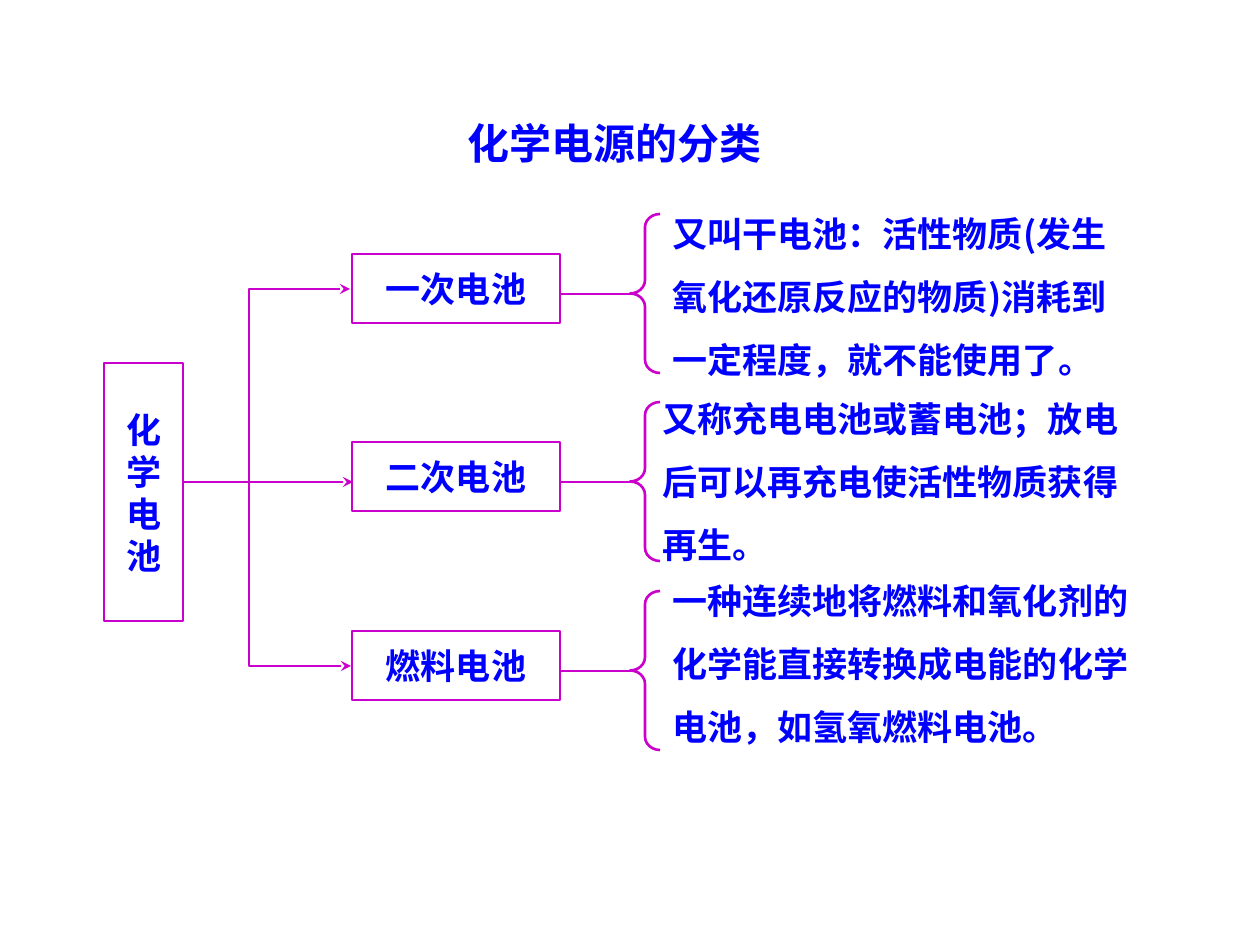
import pptx
import pptx.util
import pptx.dml.color
import pptx.enum.shapes
import pptx.enum.text
import pptx.oxml
import pptx.oxml.ns

COLORS = {"line": "CC00CC", "text": "0000FF"}
SCALE = 914400 / 126
SHAPE = pptx.enum.shapes.MSO_SHAPE
LINK = pptx.enum.shapes.MSO_CONNECTOR
ALIGN = pptx.enum.text.PP_ALIGN
ANCHOR = pptx.enum.text.MSO_ANCHOR
FIT = pptx.enum.text.MSO_AUTO_SIZE
QN = pptx.oxml.ns.qn


def emu(*sizes):
    return [pptx.util.Emu(round(size * SCALE)) for size in sizes]


def rgb(name):
    return pptx.dml.color.RGBColor.from_string(COLORS[name])


def apply(target, values):
    for name, value in values.items():
        setattr(target, name, value)


class Page:
    font = "Noto Sans CJK SC"
    stroke = pptx.util.Pt(1.5)

    def __init__(self, slide):
        self.slide = slide
        self.shapes = slide.shapes

    def label(self, frame, lines, size, font, form):
        for i, line in enumerate(lines):
            para = frame.paragraphs[0] if i == 0 else frame.add_paragraph()
            apply(para, form)
            run = para.add_run()
            run.text = line
            apply(run.font, {"name": font, "size": pptx.util.Pt(size), "bold": True})
            run.font.color.rgb = rgb("text")
            east = pptx.oxml.parse_xml(
                f'<a:ea {pptx.oxml.ns.nsdecls("a")} typeface="{self.font}"/>')
            run.font._element.find(QN("a:latin")).addnext(east)

    def pen(self, shape):
        shape.line.color.rgb = rgb("line")
        shape.line.width = self.stroke

    def text(self, x, y, w, h, lines, size=20, align=ALIGN.LEFT):
        frame = self.shapes.add_textbox(*emu(x, y, w, h)).text_frame
        apply(frame, {"word_wrap": True, "auto_size": FIT.SHAPE_TO_FIT_TEXT})
        self.label(frame, lines, size, self.font, {"alignment": align, "line_spacing": 1.5})

    def outline(self, kind, x, y, w, h):
        shape = self.shapes.add_shape(kind, *emu(x, y, w, h))
        shape.shadow.inherit = False
        shape.fill.background()
        self.pen(shape)
        return shape

    def box(self, x, y, w, h, lines):
        frame = self.outline(SHAPE.RECTANGLE, x, y, w, h).text_frame
        apply(frame, {"word_wrap": False, "vertical_anchor": ANCHOR.MIDDLE})
        self.label(frame, lines, 20, "Arial", {"alignment": ALIGN.CENTER})

    def brace(self, x, y, w, h):
        shape = self.outline(SHAPE.LEFT_BRACE, x, y, w, h)
        shape.adjustments[0] = 0.44

    def link(self, x1, y1, x2, y2, ends=(), kind=LINK.STRAIGHT):
        line = self.shapes.add_connector(kind, *emu(x1, y1, x2, y2))
        self.pen(line)
        for end in ends:
            mark = line.line._ln.makeelement(QN(f"a:{end}"), {"type": "stealth"})
            line.line._ln.append(mark)
        props = line._element.spPr
        props.append(props.makeelement(QN("a:effectLst"), {}))
        return line

    def fork(self, x, top, low, back):
        line = self.link(x, top, x + 1, low, ("headEnd", "tailEnd"), LINK.ELBOW)
        geom = line._element.spPr.find(QN("a:prstGeom"))
        guides = geom.get_or_add_avLst()
        guides.append(guides.makeelement(
            QN("a:gd"), {"name": "adj1", "fmla": f"val {(back - x) * 100000}"}))


def main():
    deck = pptx.Presentation()
    deck.slide_width, deck.slide_height = emu(1260, 945)
    page = Page(deck.slides.add_slide(deck.slide_layouts[6]))

    page.text(94, 86, 1042, 88, ["化学电源的分类"], 24, ALIGN.CENTER)
    page.box(104, 363, 79, 258, "化学电池")
    page.fork(350, 289, 666, 248)
    page.link(184, 482, 353, 482, ["tailEnd"])

    kinds = [
        ("一次电池", 660, 185, ["又叫干电池：活性物质(发生氧化还原反应的物质)消耗到一定程度，就不能使用了。"]),
        ("二次电池", 650, 370, ["又称充电电池或蓄电池；放电后可以再充电使活性物质获得再生。"]),
        ("燃料电池", 660, 552, ["一种连续地将燃料和氧化剂的", "化学能直接转换成电能的化学", "电池，如氢氧燃料电池。"]),
    ]
    for i, (name, left, top, lines) in enumerate(kinds):
        y = 254 + i * 377 // 2
        page.box(352, y, 208, 69, [name])
        page.link(561, y + 40, 630, y + 40)
        page.brace(630, y - 40, 30, 159)
        page.text(left, top, 486, 202, lines)

    deck.save("out.pptx")


if __name__ == "__main__":
    main()
